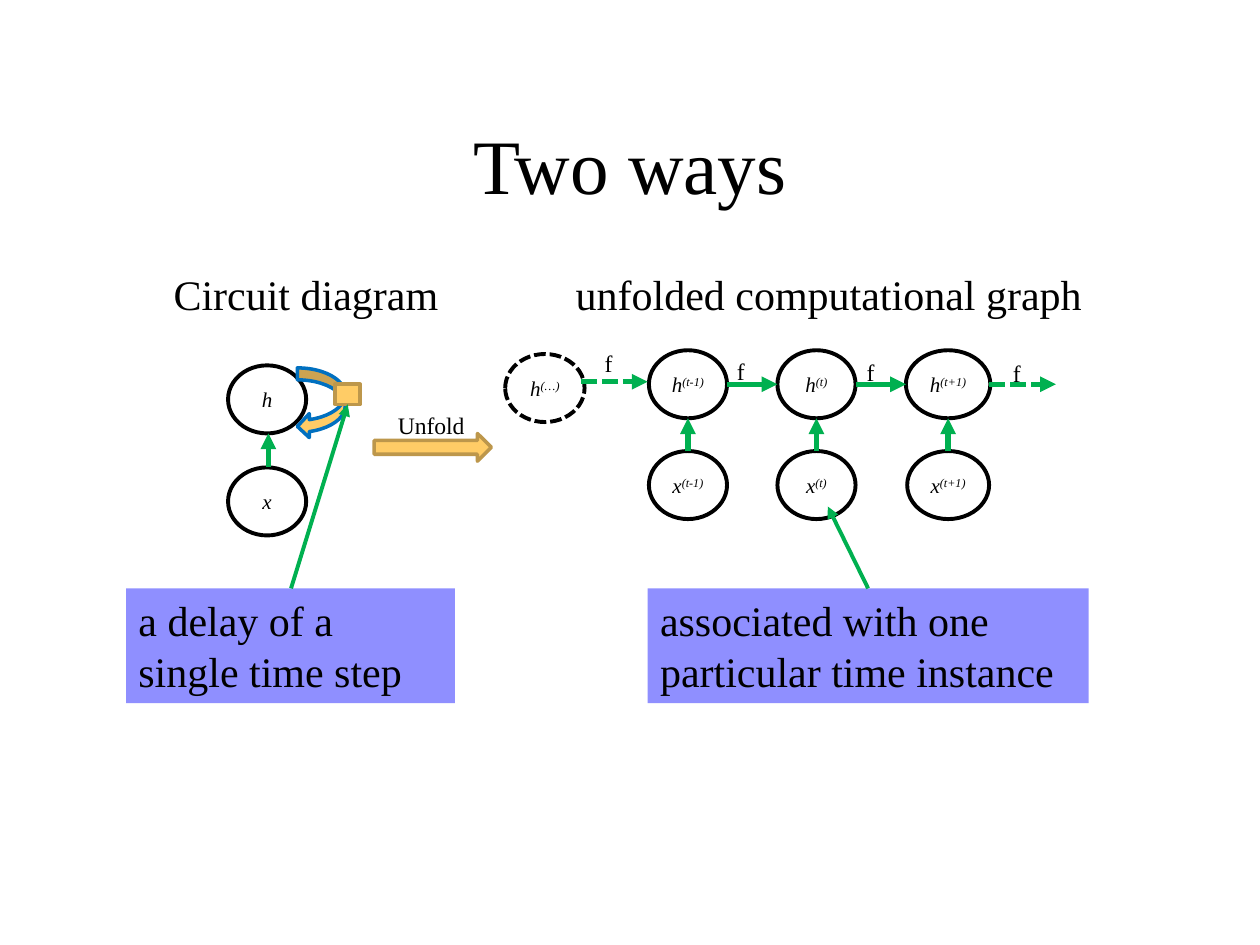
from dataclasses import dataclass

from lxml import etree
from pptx import Presentation
from pptx import util as u
from pptx.dml.color import RGBColor
from pptx.enum import dml, shapes, text
from pptx.oxml import ns


@dataclass(frozen=True)
class Theme:
    """Colours, font and type sizes of the slide."""
    font: str = "Times New Roman"
    ink: str = "000000"
    signal: str = "00B050"
    loop: str = "0070C0"
    amber: str = "FFCC66"
    amber_edge: str = "BD974B"
    note: str = "8F8FFF"
    title: float = 44
    body: float = 24
    label: float = 13.5
    node: float = 12


def write(shape, content, theme, size, power="", italic=False, wrap=True,
          align=text.PP_ALIGN.LEFT, anchor=text.MSO_ANCHOR.TOP):
    """Fill a shape with one paragraph and an optional superscript."""
    frame = shape.text_frame
    frame.word_wrap = wrap
    frame.vertical_anchor = anchor
    para = frame.paragraphs[0]
    para.alignment = align
    for piece in filter(None, (content, power)):
        span = para.add_run()
        span.text = piece
        span.font.name = theme.font
        span.font.size = u.Pt(size)
        span.font.italic = italic
        span.font.color.rgb = RGBColor.from_string(theme.ink)
        if piece is power:
            span._r.get_or_add_rPr().set("baseline", "30000")


class Diagram:
    """Draws themed elements on the current slide."""

    def __init__(self, page, theme):
        """Keep the slide and its style."""
        self.page = page
        self.theme = theme

    def stroke(self, line, color, width, dashed=False):
        """Style an outline or a connector."""
        line.color.rgb = RGBColor.from_string(color)
        line.width = u.Pt(width)
        if dashed:
            line.dash_style = dml.MSO_LINE.SQUARE_DOT

    def shape(self, kind, place, fill=None, edge=None, width=2, dashed=False):
        """Add a preset shape with a plain fill and outline."""
        shape = self.page.shapes.add_shape(kind, *map(u.Inches, place))
        shape.shadow.inherit = False
        if fill:
            shape.fill.solid()
            shape.fill.fore_color.rgb = RGBColor.from_string(fill)
        else:
            shape.fill.background()
        if edge:
            self.stroke(shape.line, edge, width, dashed)
        else:
            shape.line.fill.background()
        return shape

    def label(self, content, place, size, **style):
        """Add a text box."""
        box = self.page.shapes.add_textbox(*map(u.Inches, place))
        write(box, content, self.theme, size, **style)

    def node(self, name, left, top, power="", width=0.62, dashed=False):
        """Add an elliptical graph node."""
        oval = self.shape(shapes.MSO_SHAPE.OVAL, (left, top, width, 0.54),
                          edge=self.theme.ink, width=2.25, dashed=dashed)
        frame = oval.text_frame
        frame.margin_left = frame.margin_right = u.Inches(0.07)
        frame.margin_top = frame.margin_bottom = u.Inches(0.04)
        write(oval, name, self.theme, self.theme.node, power=power, italic=True,
              align=text.PP_ALIGN.CENTER, anchor=text.MSO_ANCHOR.MIDDLE)

    def arrow(self, start, end, width=3, dashed=False):
        """Add a straight arrow."""
        line = self.page.shapes.add_connector(
            shapes.MSO_CONNECTOR.STRAIGHT, *map(u.Inches, (*start, *end)))
        self.stroke(line.line, self.theme.signal, width, dashed)
        etree.SubElement(line.line._get_or_add_ln(), ns.qn("a:tailEnd"), type="triangle")
        etree.SubElement(line._element.spPr, ns.qn("a:effectLst"))

    def note(self, content, place, start, target):
        """Add a filled note and the arrow to what it explains."""
        box = self.shape(shapes.MSO_SHAPE.RECTANGLE, place, fill=self.theme.note)
        write(box, content, self.theme, self.theme.body)
        self.arrow(start, target, width=2.25)


def draw_circuit(diagram):
    """Draw the recurrent circuit and the unfold arrow."""
    theme = diagram.theme
    diagram.node("h", 1.81, 2.9)
    diagram.node("x", 1.81, 3.71)
    diagram.arrow((2.13, 3.71), (2.13, 3.44))
    diagram.shape(shapes.MSO_SHAPE.CURVED_LEFT_ARROW, (2.36, 2.92, 0.38, 0.56),
                  fill=theme.amber, edge=theme.loop)
    diagram.shape(shapes.MSO_SHAPE.RIGHT_ARROW, (2.97, 3.44, 0.93, 0.22),
                  fill=theme.amber, edge=theme.amber_edge)
    diagram.label("Unfold", (3.06, 3.21, 0.74, 0.33), theme.label, wrap=False)
    diagram.shape(shapes.MSO_SHAPE.RECTANGLE, (2.66, 3.05, 0.2, 0.16),
                  fill=theme.amber, edge=theme.amber_edge)


def draw_unfolded(diagram):
    """Draw the chain of time steps with its transitions."""
    diagram.node("h", 4.01, 2.81, "(…)", width=0.63, dashed=True)
    steps = (("(t-1)", 5.15, 0.62, 5.15, 0.62),
             ("(t)", 6.17, 0.62, 6.17, 0.62),
             ("(t+1)", 7.19, 0.67, 7.2, 0.65))
    for power, state_left, state_width, input_left, input_width in steps:
        diagram.node("h", state_left, 2.78, power, state_width)
        diagram.node("x", input_left, 3.58, power, input_width)
        center = input_left + input_width / 2
        diagram.arrow((center, 3.58), (center, 3.32))
    transitions = ((4.61, 5.14, 3.03, True, 4.7, 2.72),
                   (5.77, 6.17, 3.05, False, 5.75, 2.78),
                   (6.79, 7.19, 3.05, False, 6.78, 2.79),
                   (7.85, 8.38, 3.05, True, 7.94, 2.8))
    for start, end, height, dashed, left, top in transitions:
        diagram.arrow((start, height), (end, height), dashed=dashed)
        diagram.label("f", (left, top, 0.25, 0.33), diagram.theme.label, wrap=False)


def main():
    """Build and save the slide."""
    deck = Presentation()
    deck.slide_width, deck.slide_height = u.Inches(10), u.Inches(7.5)
    theme = Theme()
    diagram = Diagram(deck.slides.add_slide(deck.slide_layouts[6]), theme)
    diagram.label("Two ways", (0.75, 0.67, 8.5, 1.25), theme.title,
                  align=text.PP_ALIGN.CENTER, anchor=text.MSO_ANCHOR.MIDDLE)
    draw_unfolded(diagram)
    draw_circuit(diagram)
    for heading, left, width in (("Circuit diagram", 1.28, 2.34),
                                 ("unfolded computational graph", 4.47, 4.42)):
        diagram.label(heading, (left, 2.08, width, 0.5), theme.body, wrap=False)
    diagram.note("a delay of a single time step", (1, 4.67, 2.61, 0.91),
                 (2.31, 4.67), (2.76, 3.21))
    diagram.note("associated with one particular time instance", (5.14, 4.67, 3.5, 0.91),
                 (6.89, 4.67), (6.57, 4.02))
    deck.save("out.pptx")


if __name__ == "__main__":
    main()
